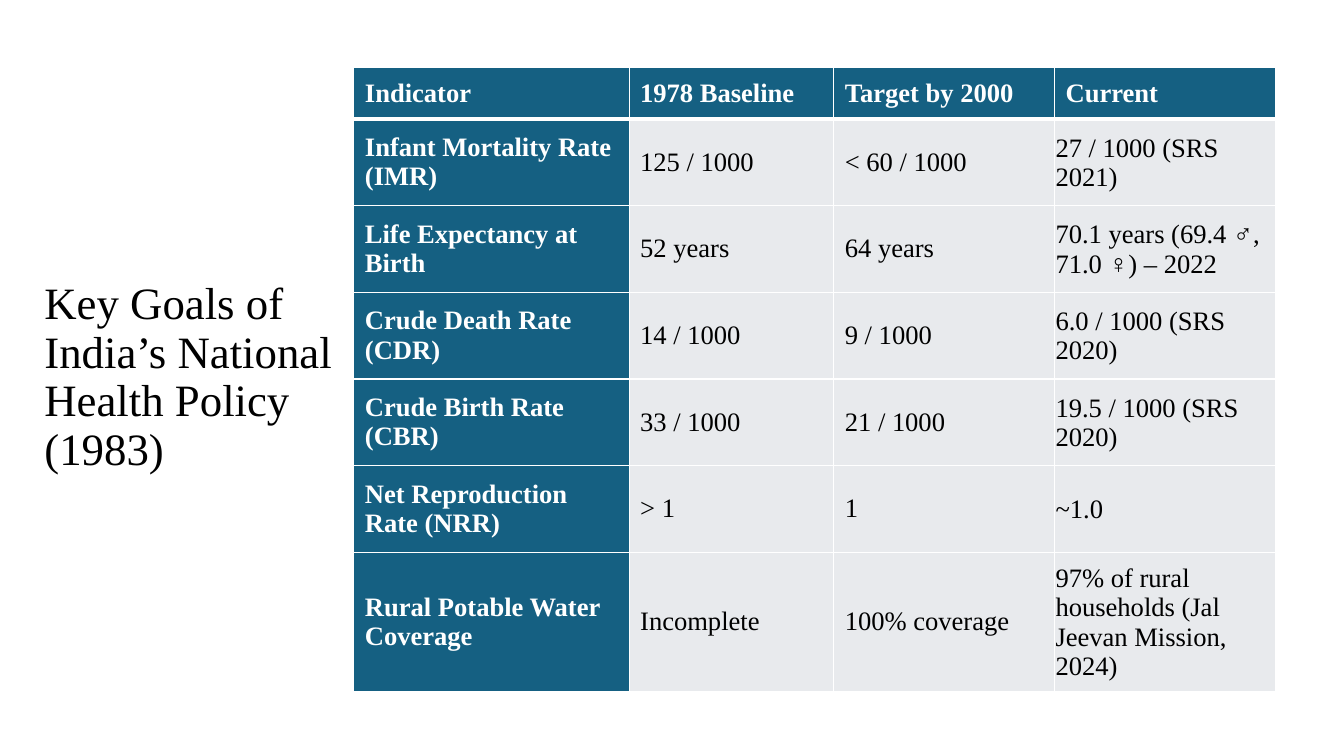
from dataclasses import dataclass

from lxml import etree
from pptx import Presentation
from pptx.dml.color import RGBColor
from pptx.enum.text import MSO_ANCHOR, MSO_AUTO_SIZE, PP_ALIGN
from pptx.oxml.ns import qn
from pptx.util import Inches, Pt

MIDDLE = MSO_ANCHOR.MIDDLE
NO_AUTOFIT = MSO_AUTO_SIZE.NONE
LEFT = PP_ALIGN.LEFT


@dataclass(frozen=True)
class Theme:
    font: str = "Times New Roman"
    title_size: int = 32
    table_size: int = 19
    ink: str = "000000"
    paper: str = "FFFFFF"
    heading: str = "156082"
    body: str = "E8EAED"
    rule: float = 1
    header_rule: float = 3


COLUMN_WIDTHS = [2.73, 2.03, 2.19, 2.19]
ROW_HEIGHTS = [0.51] + [0.86] * 5 + [1.38]
STANDARD_MARGINS = (0.11, 0.05, 0.11, 0.05)
TIGHT_MARGINS = (0.01, 0.01, 0.01, 0)
GOALS = [
    ["Indicator", "1978 Baseline", "Target by 2000", "Current"],
    ["Infant Mortality Rate (IMR)", "125 / 1000", "< 60 / 1000", "27 / 1000 (SRS 2021)"],
    ["Life Expectancy at Birth", "52 years", "64 years", "70.1 years (69.4 ♂, 71.0 ♀) – 2022"],
    ["Crude Death Rate (CDR)", "14 / 1000", "9 / 1000", "6.0 / 1000 (SRS 2020)"],
    ["Crude Birth Rate (CBR)", "33 / 1000", "21 / 1000", "19.5 / 1000 (SRS 2020)"],
    ["Net Reproduction Rate (NRR)", "> 1", "1", "~1.0"],
    ["Rural Potable Water Coverage", "Incomplete", "100% coverage",
     "97% of rural households (Jal Jeevan Mission, 2024)"],
]


class SlideBuilder:
    def __init__(self, slide, theme):
        self.slide = slide
        self.theme = theme

    def style(self, paragraph, size, color, bold=False):
        paragraph.alignment = LEFT
        for run in paragraph.runs:
            run.font.name = self.theme.font
            run.font.size = Pt(size)
            run.font.bold = bold
            run.font.color.rgb = RGBColor.from_string(color)

    def title(self, text, left, top, width, height):
        title = self.slide.shapes.title
        title.left, title.top = Inches(left), Inches(top)
        title.width, title.height = Inches(width), Inches(height)
        frame = title.text_frame
        frame.text = text
        frame.word_wrap = True
        frame.auto_size = NO_AUTOFIT
        frame.vertical_anchor = MIDDLE
        frame.paragraphs[0].line_spacing = 0.9
        self.style(frame.paragraphs[0], self.theme.title_size, self.theme.ink)

    def table(self, rows, left, top, widths, heights):
        table = self.slide.shapes.add_table(
            len(rows), len(widths), Inches(left), Inches(top),
            Inches(sum(widths)), Inches(sum(heights))).table
        table.first_col = True
        table.horz_banding = False
        for column, width in zip(table.columns, widths):
            column.width = Inches(width)
        for row, height in zip(table.rows, heights):
            row.height = Inches(height)
        for r, row in enumerate(rows):
            for c, text in enumerate(row):
                self.cell(table.cell(r, c), text, r, c, c == len(row) - 1)

    def cell(self, cell, text, row, column, is_last):
        theme = self.theme
        is_heading = row == 0 or column == 0
        margins = TIGHT_MARGINS if is_last and row > 0 else STANDARD_MARGINS
        (cell.margin_left, cell.margin_top,
         cell.margin_right, cell.margin_bottom) = map(Inches, margins)
        cell.vertical_anchor = MIDDLE
        cell.text_frame.text = text
        self.style(cell.text_frame.paragraphs[0], theme.table_size,
                   theme.paper if is_heading else theme.ink, is_heading)
        self.borders(cell, {
            "a:lnL": theme.rule,
            "a:lnR": theme.rule,
            "a:lnT": theme.header_rule if row == 1 else theme.rule,
            "a:lnB": theme.header_rule if row == 0 else theme.rule,
        })
        cell.fill.solid()
        cell.fill.fore_color.rgb = RGBColor.from_string(
            theme.heading if is_heading else theme.body)

    def borders(self, cell, widths):
        properties = cell._tc.get_or_add_tcPr()
        for side, width in widths.items():
            line = etree.SubElement(properties, qn(side), w=str(Pt(width)))
            fill = etree.SubElement(line, qn("a:solidFill"))
            etree.SubElement(fill, qn("a:srgbClr"), val=self.theme.paper)


def main():
    presentation = Presentation()
    presentation.slide_width = Inches(13.33)
    presentation.slide_height = Inches(7.5)
    slide = presentation.slides.add_slide(presentation.slide_layouts[5])
    builder = SlideBuilder(slide, Theme())
    builder.title("Key Goals of India’s National Health Policy (1983)",
                  0.34, 1.14, 3.18, 5.22)
    builder.table(GOALS, 3.51, 0.67, COLUMN_WIDTHS, ROW_HEIGHTS)
    presentation.save("out.pptx")


if __name__ == "__main__":
    main()
